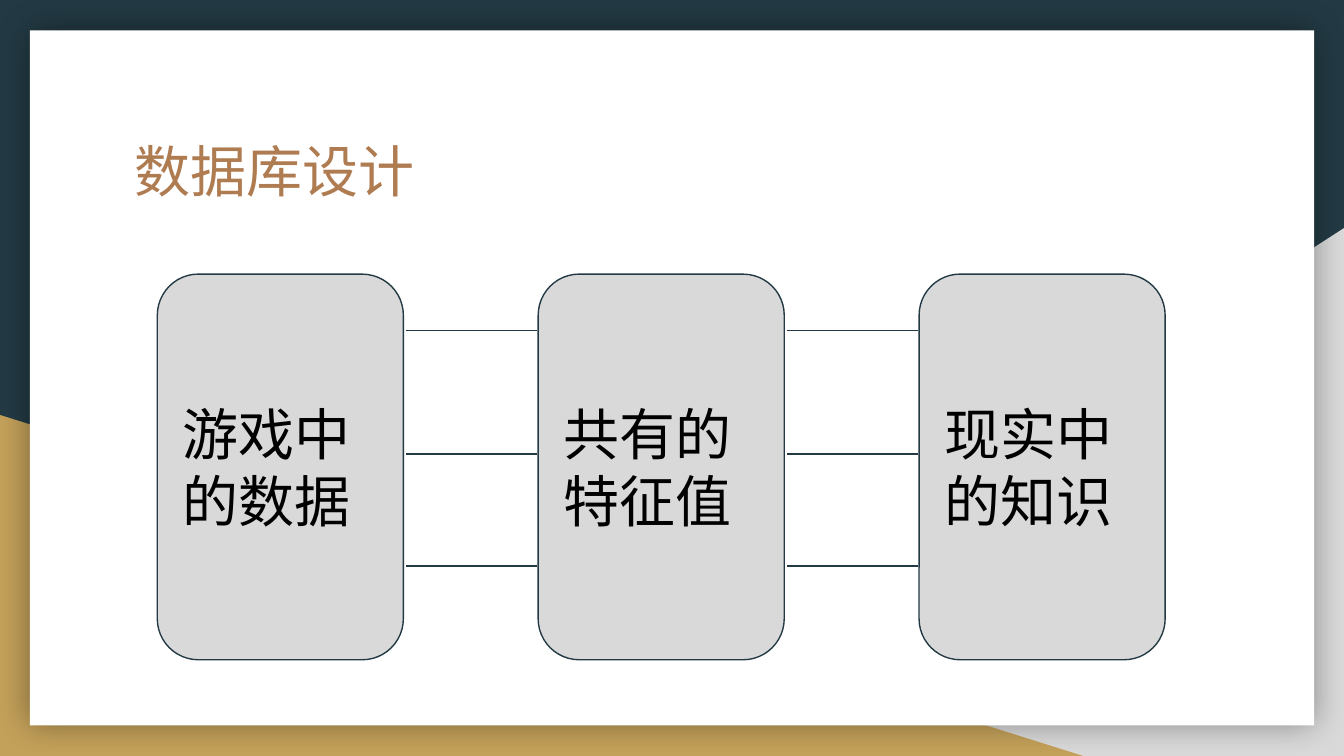
from dataclasses import dataclass

from lxml import etree
from pptx import Presentation
from pptx.dml.color import RGBColor
from pptx.enum.shapes import MSO_CONNECTOR, MSO_SHAPE
from pptx.enum.text import MSO_ANCHOR, PP_ALIGN
from pptx.oxml.ns import qn
from pptx.util import Pt

TRIANGLE = MSO_SHAPE.RIGHT_TRIANGLE
RECTANGLE = MSO_SHAPE.RECTANGLE
ROUNDED = MSO_SHAPE.ROUNDED_RECTANGLE
STRAIGHT = MSO_CONNECTOR.STRAIGHT
LEFT = PP_ALIGN.LEFT
TOP, MIDDLE = MSO_ANCHOR.TOP, MSO_ANCHOR.MIDDLE
TITLE_ONLY = 5


@dataclass(frozen=True)
class Theme:
    """Colours, fonts and sizes of the slide."""
    navy: str = "233A44"
    gold: str = "C4A15A"
    grey: str = "D9D9D9"
    white: str = "FFFFFF"
    black: str = "000000"
    copper: str = "AF7B51"
    title_font: str = "TeX Gyre Adventor"
    body_font: str = "Arial"
    text_size: float = 30
    line_width: float = 0.75
    inset: float = 7.2


THEME = Theme()


def rgb(colour):
    """Turn a hex string into a colour."""
    return RGBColor.from_string(colour)


def add_shape(page, kind, box, fill):
    """Add a plain filled shape in a (left, top, width, height) box."""
    shape = page.shapes.add_shape(kind, *map(Pt, box))
    shape.shadow.inherit = False
    shape.fill.solid()
    shape.fill.fore_color.rgb = rgb(fill)
    shape.line.fill.background()
    return shape


def write_text(shape, text, font_name, colour, anchor):
    """Fill a shape with one left-aligned paragraph."""
    frame = shape.text_frame
    frame.text = text
    frame.word_wrap = True
    frame.vertical_anchor = anchor
    frame.margin_left = frame.margin_right = Pt(THEME.inset)
    frame.margin_top = frame.margin_bottom = Pt(THEME.inset)
    para = frame.paragraphs[0]
    para.alignment = LEFT
    font = para.runs[0].font
    font.name = font_name
    font.size = Pt(THEME.text_size)
    font.color.rgb = rgb(colour)
    properties = para.runs[0].font._element
    etree.SubElement(properties, qn("a:ea"), typeface=font_name)


def add_soft_shadow(shape, blur, opacity):
    """Give a shape a centred blurred shadow."""
    effects = shape.element.spPr.find(qn("a:effectLst"))
    shadow = etree.SubElement(effects, qn("a:outerShdw"), blurRad=str(Pt(blur)), dist="0",
                              dir="0", algn="ctr", rotWithShape="0")
    colour = etree.SubElement(shadow, qn("a:srgbClr"), val=THEME.black)
    etree.SubElement(colour, qn("a:alpha"), val=str(opacity * 1000))


def draw_backdrop(page, box):
    """Draw the coloured corners and the white card."""
    left, top, width, height = box
    page.background.fill.solid()
    page.background.fill.fore_color.rgb = rgb(THEME.navy)
    right_corner = add_shape(page, TRIANGLE, (left + width - 437.8, top + height - 282.8, 437.8, 282.8),
                             THEME.grey)
    right_corner.element.spPr.find(qn("a:xfrm")).set("flipH", "1")
    add_shape(page, TRIANGLE, (left, top + height - 182.7, 580.3, 182.7), THEME.gold)
    card = add_shape(page, RECTANGLE, (left + 16, top + 16.2, width - 32, height - 32.6), THEME.white)
    add_soft_shadow(card, 18, 40)


def place_title(page, box, text):
    """Move the title placeholder to the front and format it."""
    title = page.shapes.title
    title.element.getparent().append(title.element)
    title.left, title.top, title.width, title.height = map(Pt, box)
    write_text(title, text, THEME.title_font, THEME.copper, TOP)


def draw_link(page, start, end, y):
    """Draw one level line between two cards."""
    link = page.shapes.add_connector(STRAIGHT, Pt(start), Pt(y), Pt(end), Pt(y))
    link.line.color.rgb = rgb(THEME.navy)
    link.line.width = Pt(THEME.line_width)
    etree.SubElement(link.element.spPr, qn("a:effectLst"))


def draw_linked_cards(page, box, labels, card_width, link_offsets):
    """Spread rounded cards evenly over the box and link neighbours."""
    left, top, width, height = box
    pitch = (width - card_width) / (len(labels) - 1)
    for index, label in enumerate(labels):
        x = left + index * pitch
        card = add_shape(page, ROUNDED, (x, top, card_width, height), THEME.grey)
        card.adjustments[0] = 0.167
        card.line.color.rgb = rgb(THEME.navy)
        card.line.width = Pt(THEME.line_width)
        write_text(card, label, THEME.body_font, THEME.black, MIDDLE)
        if index:
            for offset in link_offsets:
                draw_link(page, x - pitch + card_width + 1.4, x - 0.7, top + offset)


def main():
    """Build and save the slide."""
    deck = Presentation()
    deck.slide_width, deck.slide_height = Pt(720), Pt(405)
    page = deck.slides.add_slide(deck.slide_layouts[TITLE_ONLY])
    draw_backdrop(page, (0, 0, 720, 405))
    place_title(page, (64.8, 66.2, 591, 75), "数据库设计")
    draw_linked_cards(page, (84.3, 146.9, 539.9, 206.6),
                      ("游戏中的数据", "共有的特征值", "现实中的知识"), 131.8, (30.2, 96.3, 156.3))
    deck.save("out.pptx")


if __name__ == "__main__":
    main()
